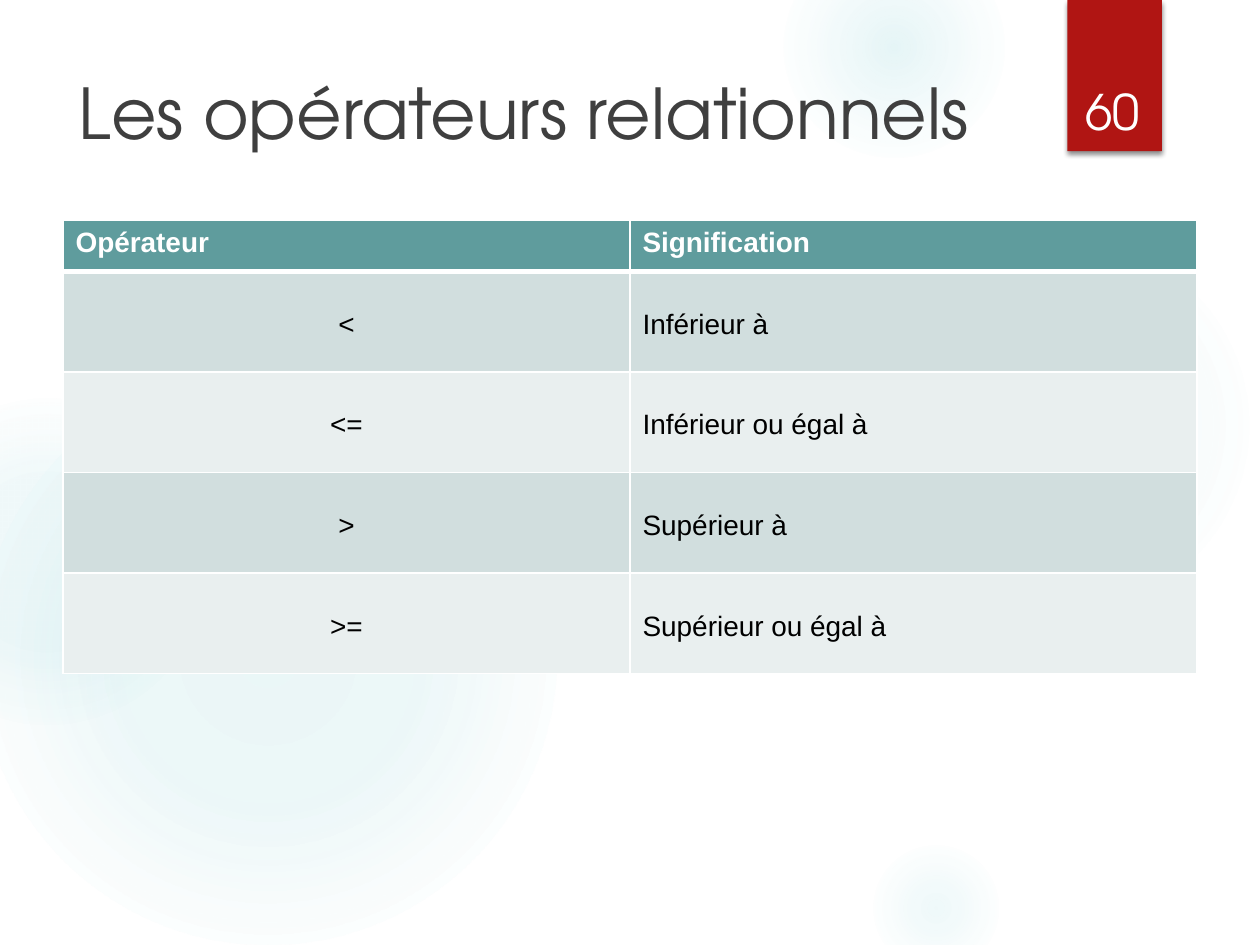
from pptx import Presentation
from pptx.dml.color import RGBColor
from pptx.enum.shapes import MSO_SHAPE
from pptx.enum.text import MSO_ANCHOR, PP_ALIGN
from pptx.oxml import parse_xml
from pptx.oxml.ns import nsdecls
from pptx.util import Pt

ELLIPSE, RECT = MSO_SHAPE.OVAL, MSO_SHAPE.RECTANGLE
LEFT, CENTER = PP_ALIGN.LEFT, PP_ALIGN.CENTER
TOP, MIDDLE, BOTTOM = MSO_ANCHOR.TOP, MSO_ANCHOR.MIDDLE, MSO_ANCHOR.BOTTOM

WHITE = RGBColor(0xFF, 0xFF, 0xFF)
BLACK = RGBColor(0, 0, 0)
GREY = RGBColor(0x3F, 0x3F, 0x3F)
RED = RGBColor(0xB0, 0x15, 0x13)
GLOW = RGBColor(0x4C, 0xB9, 0xC3)
HEADER = RGBColor(0x5F, 0x9C, 0x9D)
BANDS = [RGBColor(0xD1, 0xDE, 0xDE), RGBColor(0xE9, 0xEF, 0xEF)]
DISPLAY, BODY = "TeX Gyre Adventor", "Arial"

TITLE = "Les opérateurs relationnels"
PAGE = "60"
ROWS = [
    ("Opérateur", "Signification"),
    ("<", "Inférieur à"),
    ("<=", "Inférieur ou égal à"),
    (">", "Supérieur à"),
    (">=", "Supérieur ou égal à"),
]
# left, top, diameter, then (position, opacity) in percent
GLOWS = [
    (496, 132, 222, [(0, 7), (36, 6), (69, 0), (100, 0)]),
    (448, -36, 126, [(0, 14), (36, 7), (73, 0), (100, 0)]),
    (496, 480, 78, [(0, 9), (36, 5), (66, 0), (100, 0)]),
    (-12, 210, 330, [(0, 11), (36, 10), (75, 0), (100, 0)]),
    (-66, 228, 186, [(0, 8), (36, 8), (72, 0), (100, 0)]),
]
TABLE_LEFT, TABLE_TOP, COL_W = 36, 126, 324
HEADER_H, ROW_H = 29, 57.5


def write(tf, text, font=BODY, size=16, color=BLACK, bold=False, align=LEFT):
    tf.word_wrap = True
    p = tf.paragraphs[0]
    p.alignment = align
    r = p.add_run()
    r.text = text
    r.font.name, r.font.size, r.font.bold = font, Pt(size), bold
    r.font.color.rgb = color


def add_text(s, box, text, anchor=TOP, **fmt):
    tf = s.shapes.add_textbox(*map(Pt, box)).text_frame
    tf.vertical_anchor = anchor
    write(tf, text, **fmt)


def add_plain_shape(s, kind, *box):
    """Add a shape without line or shadow."""
    sp = s.shapes.add_shape(kind, *map(Pt, box))
    sp.line.fill.background()
    sp.shadow.inherit = False
    return sp


def add_glow(s, left, top, size, stops):
    sp = add_plain_shape(s, ELLIPSE, left, top, size, size)
    gs = "".join(
        f'<a:gs pos="{pos * 1000}"><a:srgbClr val="{GLOW}">'
        f'<a:alpha val="{alpha * 1000}"/></a:srgbClr></a:gs>'
        for pos, alpha in stops)
    grad = parse_xml(
        f'<a:gradFill {nsdecls("a")}><a:gsLst>{gs}</a:gsLst><a:path path="circle">'
        '<a:fillToRect l="50000" t="50000" r="50000" b="50000"/></a:path></a:gradFill>')
    sp._element.spPr.insert(2, grad)


def add_page_tab(s):
    sp = add_plain_shape(s, RECT, 610, 0, 54, 86.4)
    sp.fill.solid()
    sp.fill.fore_color.rgb = RED
    effects = sp._element.spPr.find("{*}effectLst")
    effects.append(parse_xml(
        f'<a:outerShdw {nsdecls("a")} blurRad="{Pt(3)}" dist="{Pt(2)}" dir="5400000">'
        '<a:srgbClr val="000000"><a:alpha val="45000"/></a:srgbClr></a:outerShdw>'))


def set_borders(cell, **widths):
    tc_pr = cell._tc.get_or_add_tcPr()
    for i, side in enumerate("LRTB"):
        tc_pr.insert(i, parse_xml(
            f'<a:ln{side} {nsdecls("a")} w="{Pt(widths.get(side, 1))}">'
            f'<a:solidFill><a:srgbClr val="{WHITE}"/></a:solidFill></a:ln{side}>'))


def add_operator_table(s):
    height = HEADER_H + ROW_H * (len(ROWS) - 1)
    table = s.shapes.add_table(len(ROWS), 2, Pt(TABLE_LEFT), Pt(TABLE_TOP),
                               Pt(2 * COL_W), Pt(height)).table
    for col in table.columns:
        col.width = Pt(COL_W)
    for i, row in enumerate(ROWS):
        header = i == 0
        table.rows[i].height = Pt(HEADER_H if header else ROW_H)
        for j, text in enumerate(row):
            cell = table.cell(i, j)
            cell.fill.solid()
            cell.fill.fore_color.rgb = HEADER if header else BANDS[(i - 1) % 2]
            cell.vertical_anchor = TOP if header else MIDDLE
            cell.margin_top = Pt(3.6 if header else 7.2)
            set_borders(cell, B=3 if header else 1, T=3 if i == 1 else 1)
            write(cell.text_frame, text, bold=header,
                  color=WHITE if header else BLACK,
                  align=CENTER if j == 0 and not header else LEFT)


def main():
    prs = Presentation()
    prs.slide_width, prs.slide_height = Pt(720), Pt(540)
    s = prs.slides.add_slide(prs.slide_layouts[6])
    for glow in GLOWS:
        add_glow(s, *glow)
    add_page_tab(s)
    add_text(s, (38, 36, 556, 110), TITLE, font=DISPLAY, size=40, color=GREY)
    add_operator_table(s)
    add_text(s, (611, 23, 50, 60.5), PAGE, anchor=BOTTOM, font=DISPLAY, size=28,
             color=WHITE, align=CENTER)
    prs.save("out.pptx")


if __name__ == "__main__":
    main()
